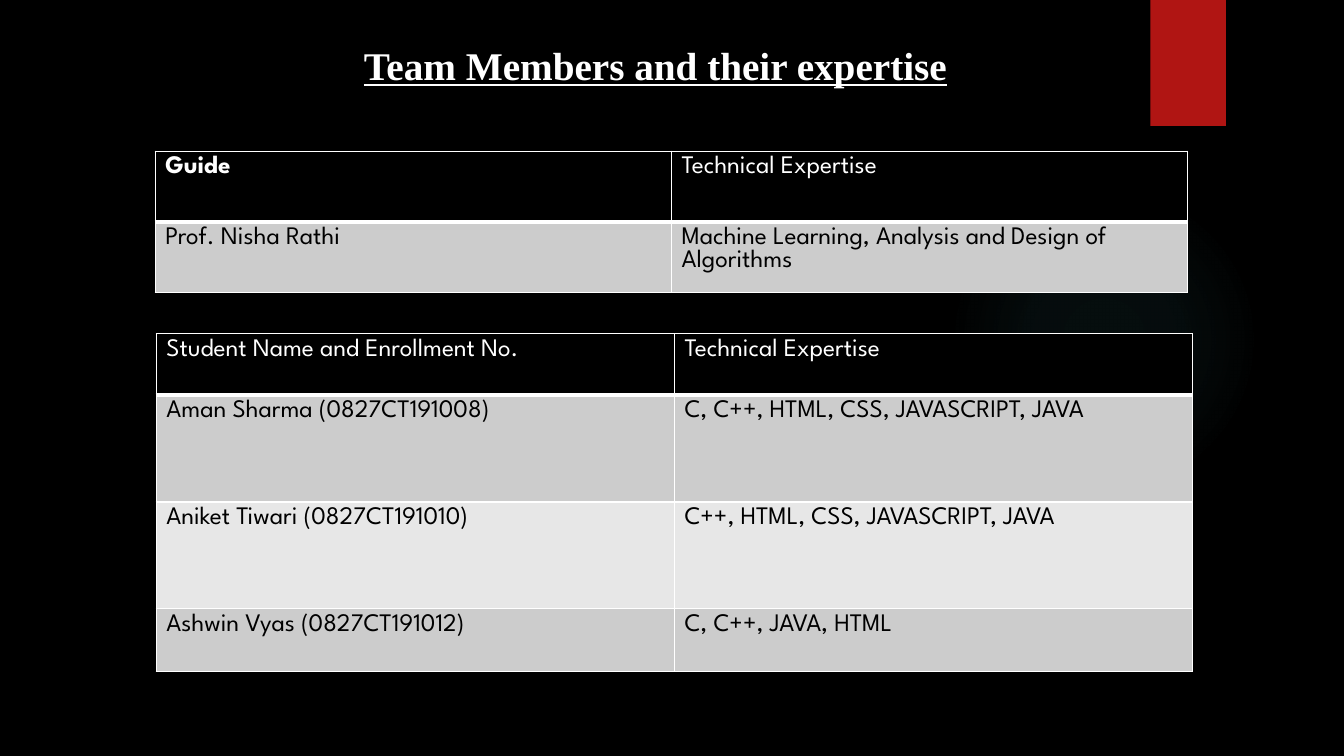
from dataclasses import dataclass

from lxml import etree
from pptx import Presentation
from pptx import util as u
from pptx.dml.color import RGBColor
from pptx.enum import shapes, text
from pptx.oxml import parse_xml
from pptx.oxml.ns import nsdecls, qn


@dataclass(frozen=True)
class Theme:
    black: str = "000000"
    white: str = "FFFFFF"
    red: str = "B01513"
    glow: str = "50B9C1"
    bands: tuple = ("CCCCCC", "E7E7E7")
    title_font: str = "Times New Roman"
    body_font: str = "League Spartan"
    title_size: int = 28
    body_size: int = 18
    thin: int = 1
    thick: int = 3


THEME = Theme()

GUIDE_ROWS = [
    ("Guide", "Technical Expertise"),
    ("Prof. Nisha Rathi", "Machine Learning, Analysis and Design of Algorithms"),
]
STUDENT_ROWS = [
    ("Student Name and Enrollment No.", "Technical Expertise"),
    ("Aman Sharma (0827CT191008)", "C, C++, HTML, CSS, JAVASCRIPT, JAVA"),
    ("Aniket Tiwari (0827CT191010)", "C++, HTML, CSS, JAVASCRIPT, JAVA"),
    ("Ashwin Vyas (0827CT191012)", "C, C++, JAVA, HTML"),
]


def write(frame, words, color, **font_format):
    """Fill a text frame with one left-aligned, formatted run."""
    para = frame.paragraphs[0]
    para.alignment = text.PP_ALIGN.LEFT
    span = para.add_run()
    span.text = words
    for name, value in font_format.items():
        setattr(span.font, name, value)
    span.font.color.rgb = RGBColor.from_string(color)


def add_plain_shape(page, kind, *bounds):
    shape = page.shapes.add_shape(kind, *map(u.Inches, bounds))
    shape.shadow.inherit = False
    shape.line.fill.background()
    return shape


def add_glow(page):
    glow = add_plain_shape(page, shapes.MSO_SHAPE.OVAL, 9.41, 1.83, 3.08, 3.08)
    stops = "".join(
        f'<a:gs pos="{place * 1000}"><a:srgbClr val="{THEME.glow}">'
        f'<a:alpha val="{alpha * 1000}"/></a:srgbClr></a:gs>'
        for place, alpha in ((0, 7), (36, 6), (69, 0))
    )
    gradient = parse_xml(
        f'<a:gradFill {nsdecls("a")}><a:gsLst>{stops}</a:gsLst>'
        '<a:path path="circle"><a:fillToRect l="50000" t="50000" '
        'r="50000" b="50000"/></a:path></a:gradFill>'
    )
    glow.element.spPr.find(qn("a:prstGeom")).addnext(gradient)


def add_tab(page):
    tab = add_plain_shape(page, shapes.MSO_SHAPE.RECTANGLE, 11.41, 0, 0.75, 1.25)
    tab.fill.solid()
    tab.fill.fore_color.rgb = RGBColor.from_string(THEME.red)
    shadow = parse_xml(
        f'<a:outerShdw {nsdecls("a")} blurRad="{u.Pt(3)}" dist="{u.Pt(2)}" '
        f'dir="5400000" rotWithShape="0"><a:srgbClr val="{THEME.black}">'
        '<a:alpha val="45000"/></a:srgbClr></a:outerShdw>'
    )
    tab.element.spPr.find(qn("a:effectLst")).append(shadow)


def set_borders(cell, **widths):
    """Draw white cell borders; widths are points for L, R, T and B in order."""
    props = cell._tc.get_or_add_tcPr()
    for side, width in widths.items():
        line = etree.SubElement(props, qn(f"a:ln{side}"), w=str(u.Pt(width)))
        fill = etree.SubElement(line, qn("a:solidFill"))
        etree.SubElement(fill, qn("a:srgbClr"), val=THEME.white)


def add_expertise_table(page, rows, left, top, column_width, heights, bold_first=False):
    columns = len(rows[0])
    table = page.shapes.add_table(
        len(rows), columns, u.Inches(left), u.Inches(top),
        u.Inches(column_width * columns), u.Inches(sum(heights)),
    ).table
    for column in table.columns:
        column.width = u.Inches(column_width)
    for r, (row, height) in enumerate(zip(rows, heights)):
        table.rows[r].height = u.Inches(height)
        header = r == 0
        fill = THEME.black if header else THEME.bands[(r - 1) % 2]
        for c, words in enumerate(row):
            cell = table.cell(r, c)
            set_borders(
                cell, L=THEME.thin, R=THEME.thin,
                T=THEME.thick if r == 1 else THEME.thin,
                B=THEME.thick if header else THEME.thin,
            )
            cell.fill.solid()
            cell.fill.fore_color.rgb = RGBColor.from_string(fill)
            write(
                cell.text_frame, words, THEME.white if header else THEME.black,
                name=THEME.body_font, size=u.Pt(THEME.body_size),
                bold=bold_first and header and c == 0,
            )


def set_title(page, words):
    title = page.shapes.title
    bounds = dict(left=3.51, top=0.36, width=6.2, height=0.57)
    for name, value in bounds.items():
        setattr(title, name, u.Inches(value))
    frame = title.text_frame
    frame.word_wrap = True
    frame.vertical_anchor = text.MSO_ANCHOR.TOP
    frame.auto_size = text.MSO_AUTO_SIZE.SHAPE_TO_FIT_TEXT
    write(
        frame, words, THEME.white, name=THEME.title_font,
        size=u.Pt(THEME.title_size), bold=True, underline=True,
    )


def main():
    deck = Presentation()
    deck.slide_width, deck.slide_height = u.Inches(13.33), u.Inches(7.5)
    page = deck.slides.add_slide(deck.slide_layouts[5])
    page.background.fill.solid()
    page.background.fill.fore_color.rgb = RGBColor.from_string(THEME.black)

    # Backdrop
    add_glow(page)
    add_tab(page)

    # Title and tables
    set_title(page, "Team Members and their expertise")
    add_expertise_table(page, STUDENT_ROWS, 1.55, 3.31, 5.14, [0.61, 1.06, 1.06, 0.62])
    add_expertise_table(page, GUIDE_ROWS, 1.54, 1.5, 5.12, [0.7, 0.7], bold_first=True)

    deck.save("out.pptx")


if __name__ == "__main__":
    main()
